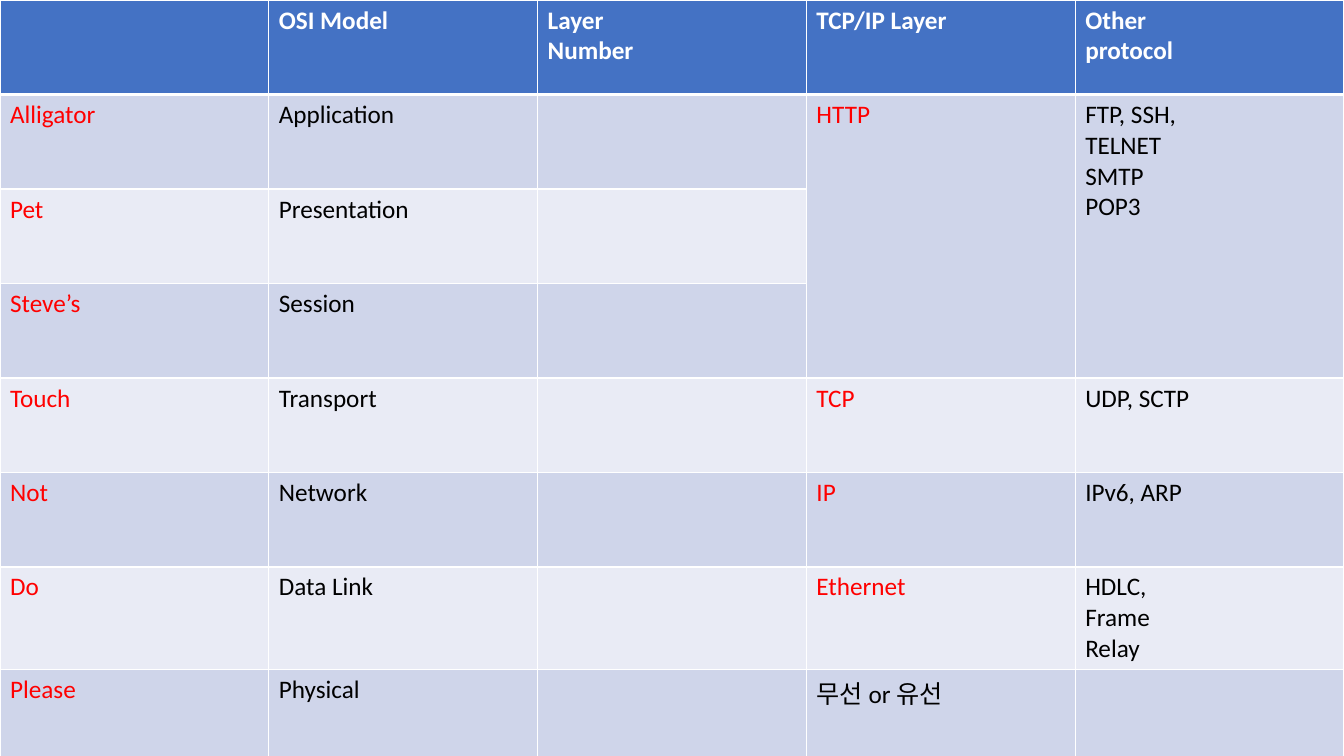
from lxml.etree import SubElement
from pptx import Presentation
from pptx.dml.color import RGBColor
from pptx.oxml.ns import qn
from pptx.util import Cm, Pt

HEAD = ["", "OSI Model", "Layer\nNumber", "TCP/IP Layer", "Other\nprotocol"]
ROWS = [
    ["Alligator", "Application", "", "HTTP", "FTP, SSH,\nTELNET\nSMTP\nPOP3"],
    ["Pet", "Presentation", "", "", ""],
    ["Steve’s", "Session", "", "", ""],
    ["Touch", "Transport", "", "TCP", "UDP, SCTP"],
    ["Not", "Network", "", "IP", "IPv6, ARP"],
    ["Do", "Data Link", "", "Ethernet", "HDLC,\nFrame\nRelay"],
    ["Please", "Physical", "", "무선 or 유선", ""],
]
GRID = [HEAD] + ROWS
LAST = len(GRID) - 1
MERGED = [3, 4]
RED_COLS = [0, 3]
BLUE, BANDS = "4472C4", ["E9EBF5", "CFD5EA"]
WHITE, RED, BLACK = "FFFFFF", "FF0000", "000000"
WIDE, HIGH = Cm(33.87), Cm(19.05)


def rgb(code):
    """Turn a hex string into a colour."""
    return RGBColor.from_string(code)


def tint(row, col):
    """Pick the text colour of a cell."""
    if row == 0:
        return WHITE
    if col in RED_COLS and (row, col) != (LAST, 3):
        return RED
    return BLACK


def edge(cell, row):
    """Draw white borders, thick below the header."""
    props = cell._tc.get_or_add_tcPr()
    for side in "LRTB":
        thick = (row, side) in [(0, "B"), (1, "T")]
        line = SubElement(props, qn("a:ln" + side), w=str(Pt(3 if thick else 1)))
        fill = SubElement(line, qn("a:solidFill"))
        SubElement(fill, qn("a:srgbClr"), val=WHITE)


def style(cell, row, col, text):
    """Write one cell with its border, fill and font."""
    edge(cell, row)
    cell.fill.solid()
    cell.fill.fore_color.rgb = rgb(BANDS[row % 2] if row else BLUE)
    cell.text = text
    for para in cell.text_frame.paragraphs:
        font = para.font
        font.name, font.size, font.bold = "Calibri", Pt(18), row == 0
        font.color.rgb = rgb(tint(row, col))


deck = Presentation()
deck.slide_width, deck.slide_height = WIDE, HIGH
slide = deck.slides.add_slide(deck.slide_layouts[6])
table = slide.shapes.add_table(len(GRID), len(HEAD), 0, 0, WIDE, HIGH).table

for row, texts in enumerate(GRID):
    for col, text in enumerate(texts):
        style(table.cell(row, col), row, col, text)
for col in MERGED:
    table.cell(1, col).merge(table.cell(3, col))

deck.save("out.pptx")
